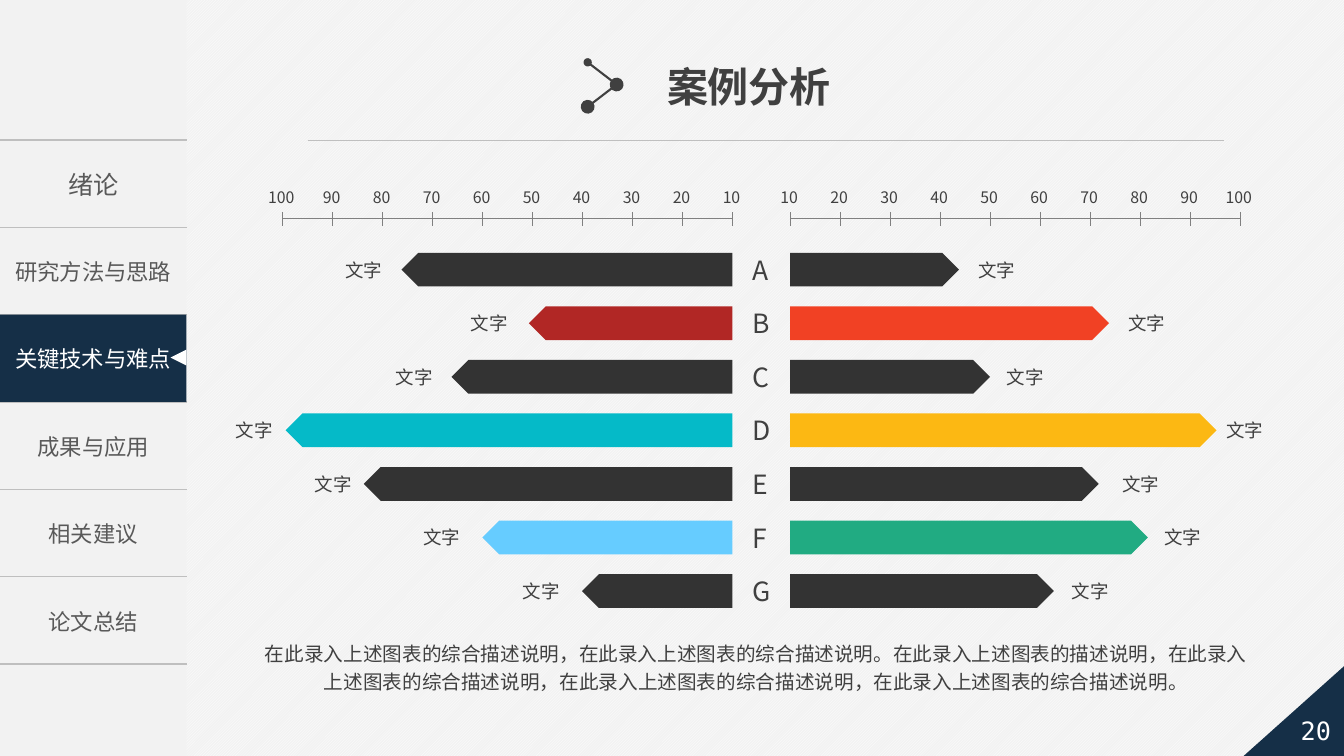
import pptx
import pptx.dml.color
import pptx.enum.dml
import pptx.enum.shapes
import pptx.enum.text
import pptx.oxml
import pptx.oxml.ns
import pptx.util

Cm = pptx.util.Cm
Pt = pptx.util.Pt
SHAPE = pptx.enum.shapes.MSO_SHAPE
ALIGN = pptx.enum.text.PP_ALIGN
qn = pptx.oxml.ns.qn

COLORS = {
    "paper": "F2F2F2", "white": "FFFFFF", "navy": "152F47", "rule": "BFBFBF",
    "axis": "808080", "text": "404040", "menu": "595959", "dark": "333333",
    "crimson": "B12725", "teal": "05BAC8", "sky": "66CCFF",
    "orange": "F14124", "amber": "FCB813", "green": "21AB82",
}
SANS = "Noto Sans CJK SC"
MENU = ["绪论", "研究方法与思路", "关键技术与难点", "成果与应用", "相关建议", "论文总结"]
MENU_TOP, MENU_W, MENU_ROW = 3.53, 4.7, 2.2
LEFT_ZERO, RIGHT_ZERO, STEP = 18.46, 19.91, 1.26
ROW_TOP, ROW_PITCH, BAR_H = 6.37, 1.35, 0.85
ROWS = [
    ("A", 0.99, 8.34, 8.45, "dark", 4.26, 24.4, "dark"),
    ("B", 0.94, 5.13, 11.62, "crimson", 8.04, 28.18, "orange"),
    ("C", 0.97, 7.08, 9.72, "dark", 5.04, 25.12, "dark"),
    ("D", 1.02, 11.26, 5.69, "teal", 10.75, 30.65, "amber"),
    ("E", 0.89, 9.29, 7.68, "dark", 7.78, 28.03, "dark"),
    ("F", 0.86, 6.3, 10.42, "sky", 9.02, 29.09, "green"),
    ("G", 1.02, 3.79, 12.93, "dark", 6.65, 26.76, "dark"),
]
SUMMARY = (
    "在此录入上述图表的综合描述说明，在此录入上述图表的综合描述说明。"
    "在此录入上述图表的描述说明，在此录入上述图表的综合描述说明，"
    "在此录入上述图表的综合描述说明，在此录入上述图表的综合描述说明。"
)


class Deck:
    """Hold the style and current slide, and draw each kind of element."""

    def __init__(self, prs):
        self.s = prs.slides.add_slide(prs.slide_layouts[6])

    def color(self, name):
        return pptx.dml.color.RGBColor.from_string(COLORS[name])

    def background(self):
        fill = self.s.background.fill
        fill.patterned()
        fill.pattern = pptx.enum.dml.MSO_PATTERN.LIGHT_UPWARD_DIAGONAL
        fill.fore_color.rgb = self.color("white")
        fill.back_color.rgb = self.color("paper")

    def label(self, tf, text, size, color, font=SANS, bold=False, align=ALIGN.LEFT, spacing=None):
        p = tf.paragraphs[0]
        p.alignment = align
        if spacing:
            p.line_spacing = spacing
        r = p.add_run()
        r.text = text
        r.font.size = Pt(size)
        r.font.bold = bold
        r.font.name = font
        r.font.color.rgb = self.color(color)
        ea = pptx.oxml.parse_xml(f'<a:ea {pptx.oxml.ns.nsdecls("a")} typeface="{SANS}"/>')
        r.font._element.find(qn("a:latin")).addnext(ea)

    def shape(self, kind, x, y, w, h, fill=None, flip=False, turn=0):
        sp = self.s.shapes.add_shape(kind, Cm(x), Cm(y), Cm(w), Cm(h))
        sp.shadow.inherit = False
        sp.line.fill.background()
        if fill:
            sp.fill.solid()
            sp.fill.fore_color.rgb = self.color(fill)
        else:
            sp.fill.background()
        if flip:
            sp._element.spPr.find(qn("a:xfrm")).set("flipH", "1")
        sp.rotation = turn
        sp.text_frame.vertical_anchor = pptx.enum.text.MSO_ANCHOR.MIDDLE
        return sp

    def text(self, x, y, w, h, text, size, wrap=False, **style):
        tf = self.s.shapes.add_textbox(Cm(x), Cm(y), Cm(w), Cm(h)).text_frame
        tf.word_wrap = wrap
        tf.auto_size = pptx.enum.text.MSO_AUTO_SIZE.SHAPE_TO_FIT_TEXT
        self.label(tf, text, size, "text", **style)

    def line(self, x1, y1, x2, y2, color, width, head=None, tail=None):
        kind = pptx.enum.shapes.MSO_CONNECTOR.STRAIGHT
        ln = self.s.shapes.add_connector(kind, Cm(x1), Cm(y1), Cm(x2), Cm(y2))
        ln.line.color.rgb = self.color(color)
        ln.line.width = Pt(width)
        for tag, size in (("headEnd", head), ("tailEnd", tail)):
            if size:
                ln._element.spPr.find(qn("a:ln")).append(pptx.oxml.parse_xml(
                    f'<a:{tag} {pptx.oxml.ns.nsdecls("a")} type="oval" w="{size}" len="{size}"/>'))
        ln._element.spPr.append(pptx.oxml.parse_xml(f'<a:effectLst {pptx.oxml.ns.nsdecls("a")}/>'))

    def menu(self, items):
        frame = self.s.shapes.add_table(
            len(items), 1, Cm(0), Cm(MENU_TOP), Cm(MENU_W), Cm(MENU_ROW * len(items)))
        table = frame.table
        table.first_row = table.horz_banding = False
        rule = f'<a:solidFill><a:srgbClr val="{COLORS["rule"]}"/></a:solidFill>'
        for i, item in enumerate(items):
            cell = table.cell(i, 0)
            tc_pr = cell._tc.get_or_add_tcPr()
            for side in "LRTB":
                paint = rule if side in "TB" else "<a:noFill/>"
                tc_pr.append(pptx.oxml.parse_xml(
                    f'<a:ln{side} {pptx.oxml.ns.nsdecls("a")} w="12700">{paint}</a:ln{side}>'))
            cell.fill.background()
            cell.vertical_anchor = pptx.enum.text.MSO_ANCHOR.MIDDLE
            self.label(cell.text_frame, item, 16 if i else 18, "menu", align=ALIGN.CENTER)

    def scale(self, zero, direction):
        self.line(zero, 5.51, zero + direction * 9 * STEP, 5.51, "axis", 0.5)
        for i in range(10):
            x = zero + direction * i * STEP
            value = str(10 * (i + 1))
            w = 0.53 + 0.23 * len(value)
            self.line(x, 5.69, x, 5.33, "axis", 0.5)
            self.text(x - w / 2, 4.6, w, 0.74, value, 11.3)

    def row(self, i, letter, letter_w, left, left_x, left_fill, right, right_x, right_fill):
        y = ROW_TOP + i * ROW_PITCH
        self.shape(SHAPE.PENTAGON, LEFT_ZERO - left, y, left, BAR_H, left_fill, flip=True)
        self.shape(SHAPE.PENTAGON, RIGHT_ZERO, y, right, BAR_H, right_fill)
        for x in (left_x, right_x):
            self.text(x, y + 0.02, 1.44, 0.81, "文字", 13.2)
        self.text(18.72, y - 0.1, letter_w, 1.07, letter, 18.9)


def main():
    prs = pptx.Presentation()
    prs.slide_width, prs.slide_height = Cm(33.87), Cm(19.05)
    deck = Deck(prs)
    deck.background()

    deck.shape(SHAPE.RECTANGLE, 0, 0, MENU_W, 19.05, "paper")
    deck.menu(MENU)
    deck.line(7.75, MENU_TOP, 30.84, MENU_TOP, "rule", 0.5)
    active = deck.shape(SHAPE.RECTANGLE, 0, MENU_TOP + 2 * MENU_ROW, MENU_W, MENU_ROW, "navy")
    deck.label(active.text_frame, MENU[2], 16, "white", align=ALIGN.CENTER)
    deck.shape(SHAPE.ISOSCELES_TRIANGLE, 4.3, 8.81, 0.4, 0.4, "white", turn=270)

    deck.shape(SHAPE.RIGHT_TRIANGLE, 31.32, 16.71, 2.64, 2.36, "navy", flip=True)
    number = deck.shape(SHAPE.PENTAGON, 31.62, 17.7, 2.74, 1.4, flip=True)
    deck.label(number.text_frame, "20", 18, "white", font="DejaVu Sans Mono", align=ALIGN.CENTER)

    deck.text(16.56, 1.42, 4.7, 1.5, "案例分析", 29.3, font="Arial", bold=True)
    deck.line(14.81, 1.57, 15.54, 2.13, "text", 1.5, head="med", tail="lg")
    deck.line(15.54, 2.13, 14.81, 2.69, "text", 1.5, head="med", tail="lg")
    deck.text(6.27, 15.93, 25.58, 1.7, SUMMARY, 14, wrap=True, align=ALIGN.CENTER, spacing=1.2)

    deck.scale(LEFT_ZERO, -1)
    deck.scale(RIGHT_ZERO, 1)
    for i, row in enumerate(ROWS):
        deck.row(i, *row)
    prs.save("out.pptx")


if __name__ == "__main__":
    main()
